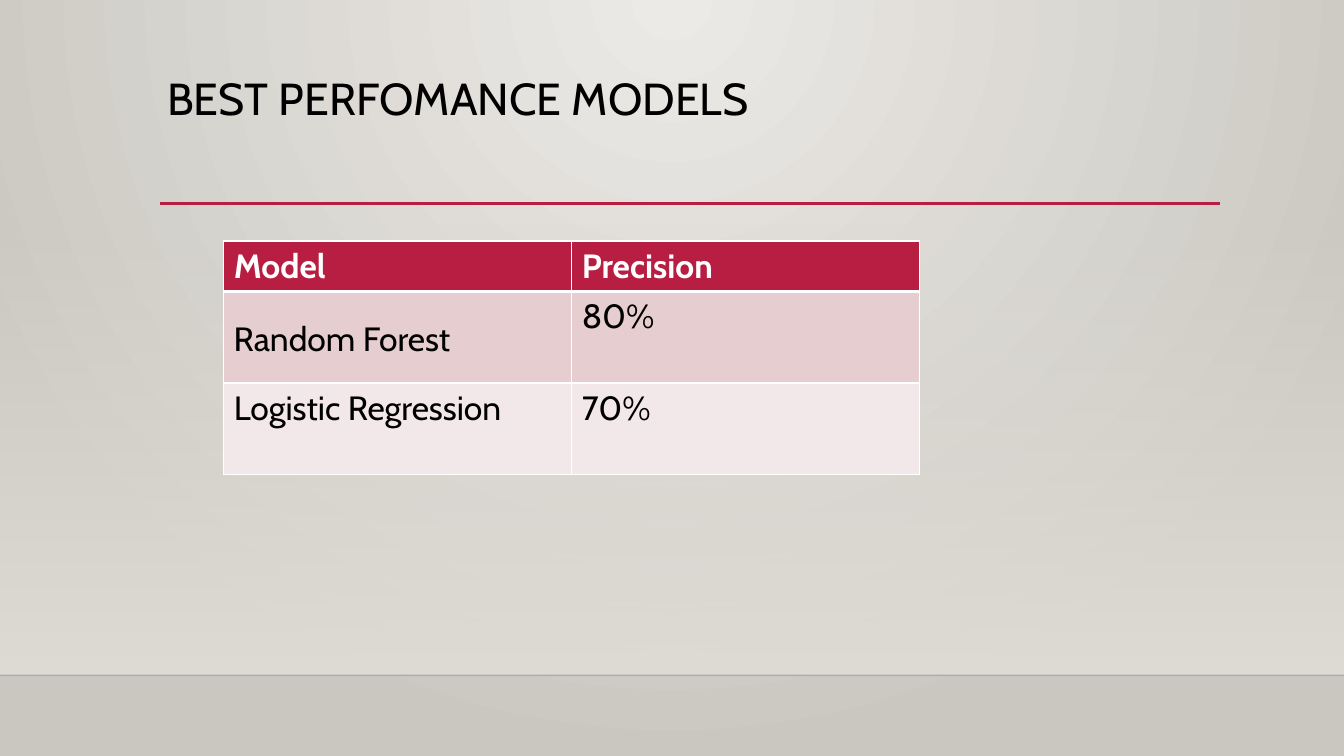
import lxml.etree
import pptx
import pptx.dml.color
import pptx.enum.shapes
import pptx.enum.text
import pptx.oxml.ns
import pptx.util

Inches = pptx.util.Inches
RGBColor = pptx.dml.color.RGBColor
qn = pptx.oxml.ns.qn

BLACK = RGBColor(0x00, 0x00, 0x00)
FLOOR_EDGE = RGBColor(0x00, 0x00, 0x01)
WHITE = RGBColor(0xFF, 0xFF, 0xFF)
CRIMSON = RGBColor(0xB7, 0x1E, 0x42)
ROSE = RGBColor(0xE6, 0xCD, 0xCF)
PALE_ROSE = RGBColor(0xF3, 0xE8, 0xE9)
WALL_LIGHT = RGBColor(0xEC, 0xEA, 0xE7)
WALL_DARK = RGBColor(0xCA, 0xC7, 0xC1)
WALL_FADE = RGBColor(0xDF, 0xDB, 0xD5)

SLIDE_WIDTH = 13.33
FLOOR_TOP = 6.7
TABLE_LEFT = 2.22
COLUMN_WIDTH = 3.45
ROW_HEIGHTS = [0.5, 0.91, 0.91]
ROW_FILLS = [CRIMSON, ROSE, PALE_ROSE]
MODEL_ROWS = [
    ["Model", "Precision"],
    ["", "80%"],
    ["Logistic Regression", "70%"],
]
BODY_FORMAT = {"name": "Cabin", "size": pptx.util.Pt(24), "bold": False}
HEADER_FORMAT = {**BODY_FORMAT, "bold": True}
TITLE_FORMAT = {**BODY_FORMAT, "size": pptx.util.Pt(32)}


def set_alpha(color, percent):
    """Give an RGB colour element an opacity in percent."""
    lxml.etree.SubElement(color, qn("a:alpha"), val=str(percent * 1000))


def set_gradient(fill, start, end):
    """Fill with a two-stop gradient running downwards."""
    fill.gradient()
    fill.gradient_angle = 270
    for stop, color, position in zip(fill.gradient_stops, (start, end), (0, 1)):
        stop.color.rgb = color
        stop.position = position


def paint_wall(slide):
    """Paint the circular background and the fade above the floor."""
    set_gradient(slide.background.fill, WALL_LIGHT, WALL_DARK)
    gradient = next(slide.element.iter(qn("a:gradFill")))
    gradient.remove(gradient.find(qn("a:lin")))
    circle = lxml.etree.SubElement(gradient, qn("a:path"), {"path": "circle"})
    lxml.etree.SubElement(
        circle, qn("a:fillToRect"), l="43000", t="0", r="43000", b="100000"
    )
    fade = slide.shapes.add_shape(
        pptx.enum.shapes.MSO_SHAPE.RECTANGLE,
        Inches(0), Inches(2.21), Inches(SLIDE_WIDTH), Inches(FLOOR_TOP - 2.21),
    )
    fade.shadow.inherit = False
    fade.line.fill.background()
    set_gradient(fade.fill, WALL_FADE, WALL_FADE)
    set_alpha(next(fade.element.iter(qn("a:srgbClr"))), 0)


def add_rule(slide, left, right, top, color, width, opacity=100):
    """Draw a horizontal line."""
    rule = slide.shapes.add_connector(
        pptx.enum.shapes.MSO_CONNECTOR.STRAIGHT,
        Inches(left), Inches(top), Inches(right), Inches(top),
    )
    rule.line.color.rgb = color
    rule.line.width = pptx.util.Pt(width)
    if opacity < 100:
        set_alpha(next(rule.element.iter(qn("a:srgbClr"))), opacity)
    lxml.etree.SubElement(rule.element.spPr, qn("a:effectLst"))


def write_text(frame, text, color, text_format):
    """Write one formatted paragraph into a text frame."""
    paragraph = frame.paragraphs[0]
    run = paragraph.add_run()
    run.text = text
    run.font.color.rgb = color
    for attribute, value in text_format.items():
        setattr(run.font, attribute, value)
    return paragraph


def add_label(slide, box, text, text_format):
    """Add a wrapped, top-anchored text box."""
    label = slide.shapes.add_textbox(*map(Inches, box))
    label.text_frame.word_wrap = True
    label.text_frame.vertical_anchor = pptx.enum.text.MSO_ANCHOR.TOP
    return write_text(label.text_frame, text, BLACK, text_format)


def set_borders(cell, widths):
    """Draw white borders of the given point widths around a cell."""
    properties = cell._tc.get_or_add_tcPr()
    for index, (side, width) in enumerate(widths.items()):
        border = properties.makeelement(
            qn(f"a:ln{side}"), {"w": str(pptx.util.Pt(width))}
        )
        solid = lxml.etree.SubElement(border, qn("a:solidFill"))
        lxml.etree.SubElement(solid, qn("a:srgbClr"), val=str(WHITE))
        properties.insert(index, border)


def add_model_table(slide):
    """Add the table of models and their precision."""
    table = slide.shapes.add_table(
        len(MODEL_ROWS), len(MODEL_ROWS[0]), Inches(TABLE_LEFT), Inches(2.39),
        Inches(2 * COLUMN_WIDTH), Inches(sum(ROW_HEIGHTS)),
    ).table
    for column in table.columns:
        column.width = Inches(COLUMN_WIDTH)
    for index, texts in enumerate(MODEL_ROWS):
        table.rows[index].height = Inches(ROW_HEIGHTS[index])
        header = index == 0
        widths = {"L": 1, "R": 1, "T": 3 if index == 1 else 1, "B": 3 if header else 1}
        for column, text in enumerate(texts):
            cell = table.cell(index, column)
            cell.fill.solid()
            cell.fill.fore_color.rgb = ROW_FILLS[index]
            set_borders(cell, widths)
            if text:
                write_text(
                    cell.text_frame, text, WHITE if header else BLACK,
                    HEADER_FORMAT if header else BODY_FORMAT,
                )


def main():
    """Build and save the slide of best models."""
    presentation = pptx.Presentation()
    presentation.slide_width = Inches(SLIDE_WIDTH)
    presentation.slide_height = Inches(7.5)
    slide = presentation.slides.add_slide(presentation.slide_layouts[6])
    paint_wall(slide)
    add_rule(slide, 0, SLIDE_WIDTH, FLOOR_TOP, FLOOR_EDGE, 1, opacity=20)
    add_rule(slide, 1.59, 12.1, 2.02, CRIMSON, 2.5)
    title = add_label(
        slide, (1.56, 0.71, 10.5, 1.15), "BEST PERFOMANCE MODELS", TITLE_FORMAT
    )
    title.line_spacing = 0.9
    add_model_table(slide)
    add_label(slide, (TABLE_LEFT, 3.1, 6.67, 0.5), "Random Forest", BODY_FORMAT)
    presentation.save("out.pptx")


if __name__ == "__main__":
    main()
